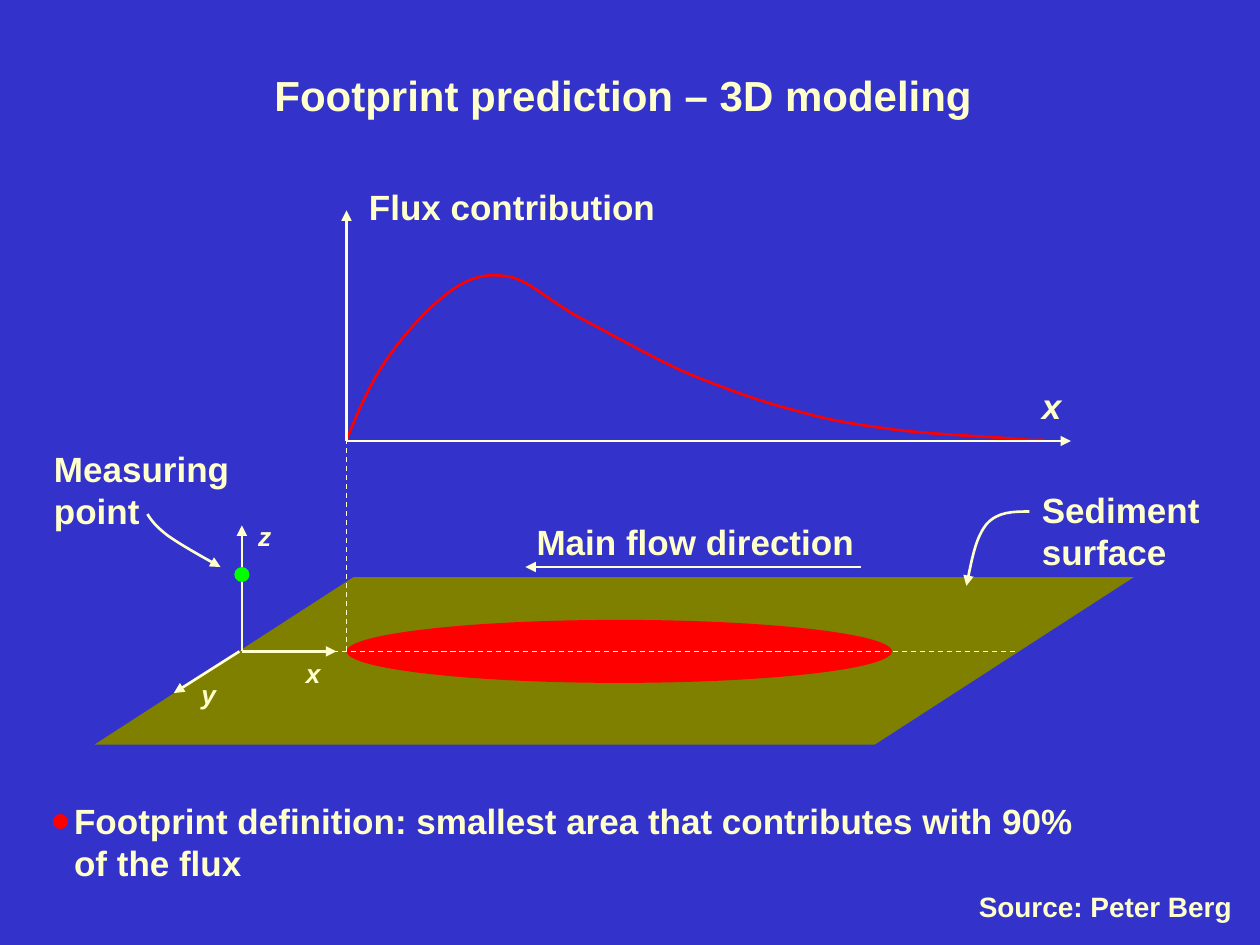
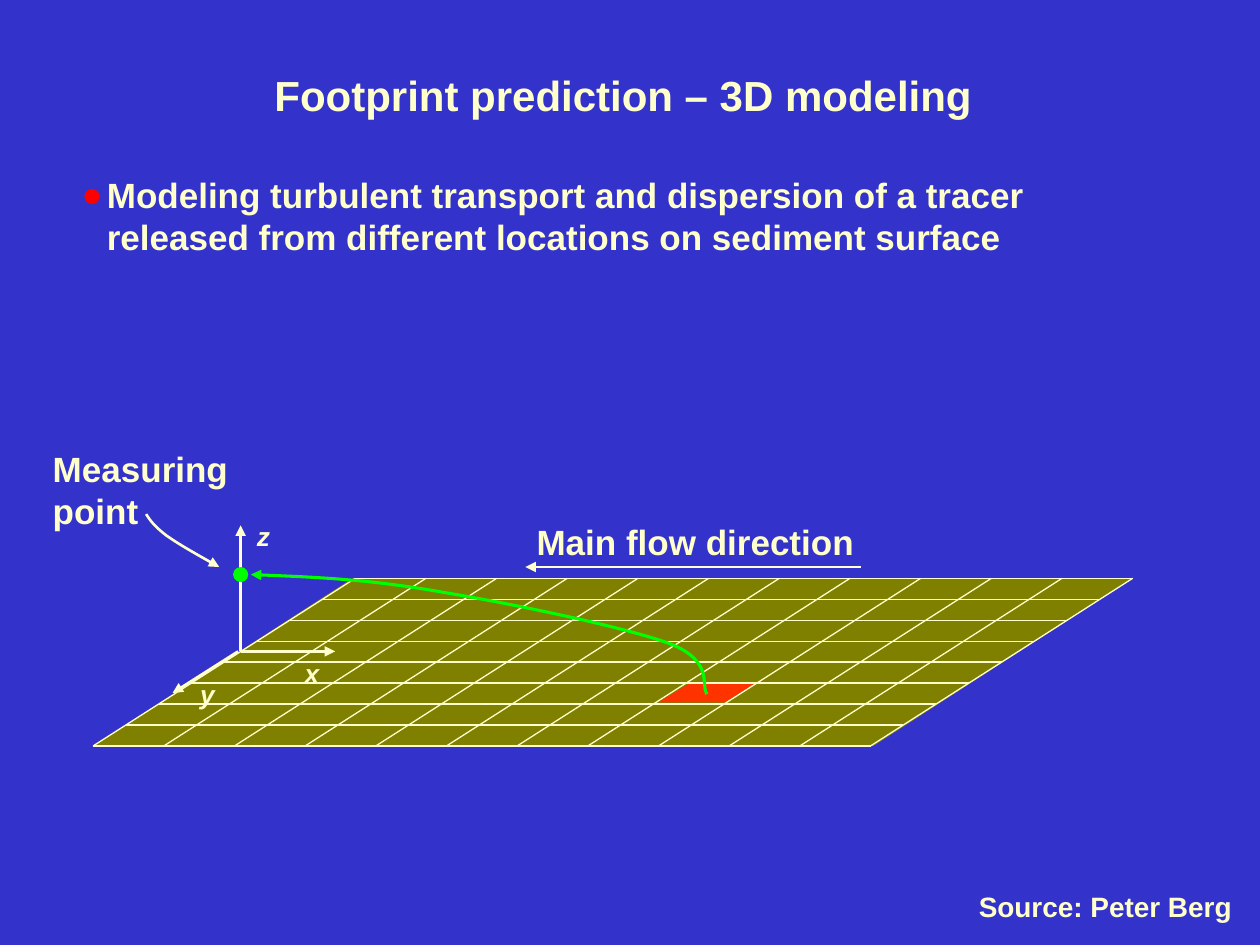
from typing import NamedTuple

from pptx import Presentation
from pptx.dml.color import RGBColor
from pptx.enum.dml import MSO_LINE
from pptx.enum.shapes import MSO_CONNECTOR, MSO_SHAPE
from pptx.enum.text import MSO_ANCHOR, MSO_AUTO_SIZE
from pptx.oxml.ns import qn
from pptx.oxml.xmlchemy import OxmlElement
from pptx.util import Inches, Pt

BLUE = "3333CC"
CREAM = "FFFFCC"
OLIVE = "808000"
RED = "FF0000"
ORANGE = "FF3300"
GREEN = "00FF00"

FONT = {"name": "Arial", "bold": True}
FRAME = {
    "margin_left": Inches(0.1),
    "margin_right": Inches(0.1),
    "margin_top": Inches(0.05),
    "margin_bottom": Inches(0.05),
    "vertical_anchor": MSO_ANCHOR.TOP,
    "auto_size": MSO_AUTO_SIZE.SHAPE_TO_FIT_TEXT,
}
LEADING = 1.2
DOT = 0.12
SURFACE_SLANT = 1.547
GRID_COLUMNS, GRID_ROWS = 11, 8


class Label(NamedTuple):
    text: str
    left: float
    top: float
    width: float
    height: float
    size: float = 20
    italic: bool = False
    wrap: bool = False


class Line(NamedTuple):
    x1: float
    y1: float
    x2: float
    y2: float
    width: float = 1.5
    arrow: bool = True
    dashed: bool = False


class Curve(NamedTuple):
    """A start point, then three points for each Bezier segment."""
    points: list[tuple[float, float]]
    color: str = CREAM
    width: float = 1.5
    arrow: bool = True


TITLE = Label("Footprint prediction – 3D modeling", 2.08, 0.5, 5.83, 0.5, 24, wrap=True)
SOURCE = Label("Source: Peter Berg", 7.67, 7.01, 2.25, 0.37, 16, wrap=True)

AXES = [
    Line(1.92, 5.17, 2.67, 5.17),
    Line(1.9, 5.17, 1.38, 5.5),
    Line(1.92, 5.17, 1.92, 4.17),
]
AXIS_NAMES = [("x", 2.33, 5.17), ("y", 1.5, 5.33), ("z", 1.95, 4.08)]
POINT_ARROW = [(1.17, 4.08), (1.2, 4.13), (1.24, 4.18), (1.33, 4.25),
               (1.43, 4.32), (1.59, 4.41), (1.75, 4.5)]
SEDIMENT_ARROW = [(8.17, 4.06), (8.04, 4.06), (7.92, 4.06), (7.83, 4.16),
                  (7.75, 4.26), (7.71, 4.45), (7.67, 4.65)]
FLUX_CURVE = [
    (2.75, 3.49),
    (2.85, 3.25), (2.95, 3.01), (3.1, 2.81),
    (3.24, 2.61), (3.46, 2.38), (3.62, 2.28),
    (3.78, 2.18), (3.9, 2.17), (4.06, 2.2),
    (4.21, 2.24), (4.35, 2.38), (4.58, 2.51),
    (4.81, 2.63), (5.16, 2.83), (5.45, 2.96),
    (5.74, 3.08), (6.04, 3.19), (6.32, 3.26),
    (6.59, 3.34), (6.8, 3.37), (7.1, 3.41),
    (7.41, 3.45), (7.96, 3.47), (8.14, 3.49),
    (8.33, 3.5), (8.28, 3.49), (8.23, 3.49),
]
TRACER_PATH = [
    (5.61, 5.51),
    (5.56, 5.44), (5.67, 5.25), (5.32, 5.11),
    (4.97, 4.98), (4.06, 4.79), (3.51, 4.7),
    (2.95, 4.6), (2.49, 4.58), (1.99, 4.56),
]


def rgb(color: str) -> RGBColor:
    return RGBColor.from_string(color)


def add_label(slide, label: Label) -> None:
    box = (Inches(v) for v in label[1:5])
    tf = slide.shapes.add_textbox(*box).text_frame
    for name, value in FRAME.items():
        setattr(tf, name, value)
    tf.word_wrap = label.wrap
    for i, text in enumerate(label.text.split("\n")):
        p = tf.add_paragraph() if i else tf.paragraphs[0]
        p.line_spacing = Pt(label.size * LEADING)
        r = p.add_run()
        r.text = text
        font = {**FONT, "size": Pt(label.size), "italic": label.italic}
        for name, value in font.items():
            setattr(r.font, name, value)
        r.font.color.rgb = rgb(CREAM)


def style_line(sp, color: str, width: float, arrow: bool) -> None:
    sp.line.color.rgb = rgb(color)
    sp.line.width = Pt(width)
    if arrow:
        tail = OxmlElement("a:tailEnd")
        tail.set("type", "triangle")
        sp.element.spPr.find(qn("a:ln")).append(tail)


def add_line(slide, line: Line) -> None:
    ends = (Inches(v) for v in line[:4])
    sp = slide.shapes.add_connector(MSO_CONNECTOR.STRAIGHT, *ends)
    if line.dashed:
        sp.line.dash_style = MSO_LINE.DASH
    style_line(sp, CREAM, line.width, line.arrow)
    sp.element.spPr.append(OxmlElement("a:effectLst"))


def add_curve(slide, curve: Curve) -> None:
    start, *rest = [(Inches(x), Inches(y)) for x, y in curve.points]
    builder = slide.shapes.build_freeform(*start)
    builder.add_line_segments(rest, close=False)
    sp = builder.convert_to_shape()
    # Merge every three straight segments into one cubic segment.
    segments = list(sp.element.iter(qn("a:lnTo")))
    for i in range(0, len(segments), 3):
        bezier = OxmlElement("a:cubicBezTo")
        segments[i].addprevious(bezier)
        for segment in segments[i:i + 3]:
            bezier.append(segment[0])
            segment.getparent().remove(segment)
    sp.fill.background()
    sp.shadow.inherit = False
    style_line(sp, curve.color, curve.width, curve.arrow)


def add_solid(slide, kind: MSO_SHAPE, left: float, top: float, width: float,
              height: float, color: str, slant: float | None = None):
    box = (Inches(v) for v in (left, top, width, height))
    sp = slide.shapes.add_shape(kind, *box)
    sp.shadow.inherit = False
    sp.fill.solid()
    sp.fill.fore_color.rgb = rgb(color)
    sp.line.fill.background()
    if slant is not None:
        sp.adjustments[0] = slant
    return sp


def add_dot(slide, left: float, top: float, color: str) -> None:
    add_solid(slide, MSO_SHAPE.OVAL, left, top, DOT, DOT, color)


def add_surface(slide, left: float, top: float) -> None:
    add_solid(slide, MSO_SHAPE.PARALLELOGRAM, left, top, 8.25, 1.33, OLIVE, SURFACE_SLANT)


def add_measuring_point(slide, dx: float = 0) -> None:
    """Axes, sensor dot and caption, moved sideways by dx inches."""
    for axis in AXES:
        add_line(slide, axis._replace(x1=axis.x1 + dx, x2=axis.x2 + dx))
    for name, left, top in AXIS_NAMES:
        add_label(slide, Label(name, left + dx, top, 0.33, 0.35, 15, True, True))
    add_label(slide, Label("Measuring\npoint", 0.33 + dx, 3.5, 1.59, 0.77))
    add_dot(slide, 1.86 + dx, 4.5, GREEN)
    add_curve(slide, Curve([(x + dx, y) for x, y in POINT_ARROW]))


def add_flow_direction(slide) -> None:
    add_line(slide, Line(6.83, 4.5, 4.17, 4.5))
    add_label(slide, Label("Main flow direction", 4.16, 4.08, 2.72, 0.44))


def add_grid(slide) -> None:
    left, top, bottom = 0.74, 4.59, 5.92
    width, shift = 6.17, 2.08
    for col in range(GRID_COLUMNS + 1):
        x = left + col * width / GRID_COLUMNS
        add_line(slide, Line(x, bottom, x + shift, top, 0.75, False))
    for row in range(GRID_ROWS + 1):
        part = row / GRID_ROWS
        x, y = left + shift * (1 - part), top + (bottom - top) * part
        add_line(slide, Line(x, y, x + width, y, 0.75, False))


def add_flux_plot(slide) -> None:
    add_line(slide, Line(2.5, 5.17, 8.08, 5.17, 0.75, False, True))
    add_line(slide, Line(2.75, 5.17, 2.75, 3.17, 0.75, False, True))
    add_curve(slide, Curve(FLUX_CURVE, RED, arrow=False))
    add_label(slide, Label("Flux contribution", 2.83, 1.42, 2.47, 0.44))
    add_line(slide, Line(2.75, 3.5, 2.75, 1.67))
    add_line(slide, Line(2.75, 3.5, 8.5, 3.5))
    add_label(slide, Label("x", 8.17, 3, 0.33, 0.44, italic=True, wrap=True))


def new_slide(prs):
    slide = prs.slides.add_slide(prs.slide_layouts[6])
    fill = slide.background.fill
    fill.solid()
    fill.fore_color.rgb = rgb(BLUE)
    add_label(slide, TITLE)
    add_label(slide, SOURCE)
    return slide


def build_definition_slide(prs) -> None:
    slide = new_slide(prs)
    add_surface(slide, 0.75, 4.58)
    add_label(slide, Label("Sediment\nsurface", 8.17, 3.83, 1.45, 0.77))
    add_curve(slide, Curve(SEDIMENT_ARROW))
    add_solid(slide, MSO_SHAPE.OVAL, 2.75, 4.92, 4.33, 0.5, RED)
    add_flow_direction(slide)
    add_measuring_point(slide)
    add_flux_plot(slide)
    add_label(slide, Label(
        "Footprint definition: smallest area that contributes with 90%\nof the flux",
        0.49, 6.3, 8.13, 0.77))
    add_dot(slide, 0.42, 6.46, RED)


def build_tracer_slide(prs) -> None:
    slide = new_slide(prs)
    add_surface(slide, 0.74, 4.59)
    cell = add_solid(slide, MSO_SHAPE.PARALLELOGRAM, 5.24, 5.43, 0.74, 0.14, ORANGE, 1.663)
    style_line(cell, ORANGE, 0.75, False)
    add_measuring_point(slide, -0.01)
    add_grid(slide)
    add_flow_direction(slide)
    add_curve(slide, Curve(TRACER_PATH, GREEN, 1.75))
    add_label(slide, Label(
        "Modeling turbulent transport and dispersion of a tracer "
        "released from different locations on sediment surface",
        0.75, 1.33, 8.33, 0.77, wrap=True))
    add_dot(slide, 0.67, 1.5, RED)


def main() -> None:
    prs = Presentation()
    prs.slide_width, prs.slide_height = Inches(10), Inches(7.5)
    build_definition_slide(prs)
    build_tracer_slide(prs)
    prs.save("out.pptx")


if __name__ == "__main__":
    main()
